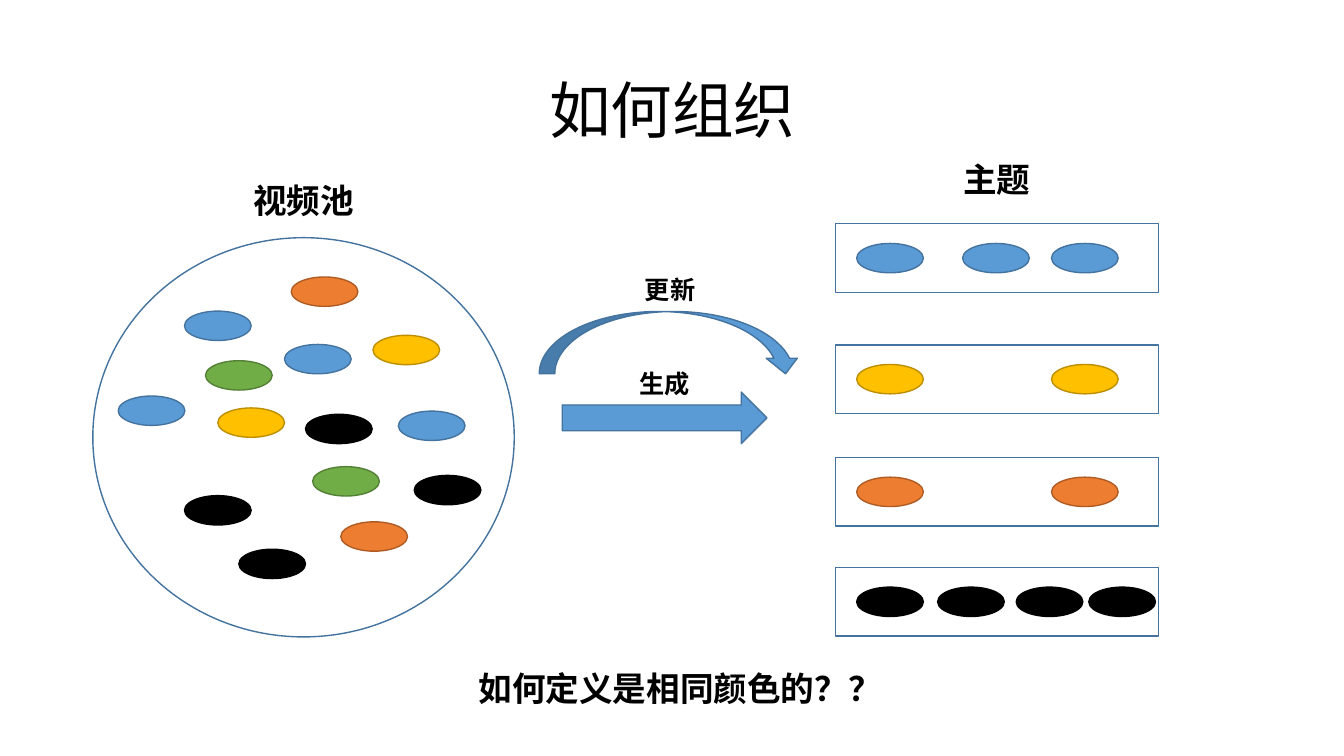
from collections import namedtuple

from pptx import Presentation
from pptx.dml.color import RGBColor
from pptx.enum.shapes import MSO_SHAPE as Preset
from pptx.enum.text import MSO_ANCHOR as Anchor, PP_ALIGN as Align
from pptx.util import Cm, Pt

Box = namedtuple("Box", "left top width height")

FILLS = {"blue": "5B9BD5", "yellow": "FFC000", "green": "70AD47",
         "orange": "ED7D31", "black": "000000"}
LINES = {"blue": "43739E", "yellow": "BD8E00", "green": "538035",
         "orange": "AF5C24", "black": "000000"}
FONT = "Calibri"
VIDEO_WIDTH, VIDEO_HEIGHT = 1.68, 0.74

POOL_VIDEOS = {
    "blue": [(2.31, 1.85), (4.83, 2.69), (0.64, 3.99), (7.7, 4.37)],
    "yellow": [(3.15, 4.29), (7.06, 2.46)],
    "green": [(5.54, 5.77), (2.84, 3.1)],
    "orange": [(6.25, 7.16), (5, 0.99)],
    "black": [(2.31, 6.5), (3.68, 7.85), (5.36, 4.45), (8.1, 5.99)],
}
TOPICS = [
    ("blue", 0, [0.53, 3.2, 5.44]),
    ("yellow", 3.05, [0.53, 5.44]),
    ("orange", 5.89, [0.53, 5.44]),
    ("black", 8.66, [0.53, 2.57, 4.55, 6.38]),
]


def lengths(box):
    """Turn a box in centimetres into slide lengths."""
    return [Cm(length) for length in box]


def style_text(paragraph, size, bold):
    """Set the font of one centred paragraph."""
    paragraph.alignment = Align.CENTER
    font = paragraph.font
    font.name, font.size, font.bold = FONT, Pt(size), bold
    font.color.rgb = RGBColor.from_string(FILLS["black"])


def add_figure(slide, preset, box, color, filled=True):
    """Add an outlined preset shape."""
    figure = slide.shapes.add_shape(preset, *lengths(box))
    figure.shadow.inherit = False
    if filled:
        figure.fill.solid()
        figure.fill.fore_color.rgb = RGBColor.from_string(FILLS[color])
    else:
        figure.fill.background()
    figure.line.color.rgb = RGBColor.from_string(LINES[color])
    figure.line.width = Pt(1)


def add_video(slide, left, top, color):
    """Add one video as a small ellipse."""
    add_figure(slide, Preset.OVAL, Box(left, top, VIDEO_WIDTH, VIDEO_HEIGHT), color)


def add_label(slide, box, text, size):
    """Add a bold centred label in its box."""
    frame = slide.shapes.add_textbox(*lengths(box)).text_frame
    frame.word_wrap = True
    frame.text = text
    style_text(frame.paragraphs[0], size, True)


def add_heading(slide, box, text, size, gap):
    """Add a label over the box, the gap above its top."""
    height = 1.27 if size == 24 else 1.02
    add_label(slide, Box(box.left, box.top - gap - height, box.width, height), text, size)


def add_title(slide, box):
    """Place and format the title."""
    title = slide.shapes.title
    title.left, title.top, title.width, title.height = lengths(box)
    title.text_frame.text = "如何组织"
    title.text_frame.vertical_anchor = Anchor.MIDDLE
    paragraph = title.text_frame.paragraphs[0]
    paragraph.line_spacing = 0.9
    style_text(paragraph, 44, False)


def add_pool(slide, box):
    """Add the circle of mixed videos."""
    add_heading(slide, box, "视频池", 24, 0.3)
    add_figure(slide, Preset.OVAL, box, "blue", filled=False)
    for color, places in POOL_VIDEOS.items():
        for left, top in places:
            add_video(slide, box.left + left, box.top + top, color)


def add_steps(slide, box):
    """Add the update and generate arrows."""
    update = Box(box.left, box.top, box.width, 1.57)
    generate = Box(box.left + 0.58, box.top + 2.03, 5.16, 1.3)
    add_figure(slide, Preset.CURVED_DOWN_ARROW, update, "blue")
    add_figure(slide, Preset.RIGHT_ARROW, generate, "blue")
    add_heading(slide, update, "更新", 18, 0.05)
    add_heading(slide, generate, "生成", 18, -0.3)


def add_topics(slide, box):
    """Add one row of same-coloured videos for each topic."""
    add_heading(slide, box, "主题", 24, 0.48)
    row_height = 1.73
    for color, offset, places in TOPICS:
        row = Box(box.left, box.top + offset, box.width, row_height)
        add_figure(slide, Preset.RECTANGLE, row, "blue", filled=False)
        for left in places:
            add_video(slide, row.left + left,
                      row.top + (row_height - VIDEO_HEIGHT) / 2, color)


def main():
    """Build the slide and save it."""
    deck = Presentation()
    deck.slide_width, deck.slide_height = Cm(33.87), Cm(19.05)
    slide = deck.slides.add_slide(deck.slide_layouts[5])
    add_title(slide, Box(2.34, 1.02, 29.21, 3.68))
    add_pool(slide, Box(2.34, 5.99, 10.62, 10.06))
    add_steps(slide, Box(13.59, 7.85, 6.6, 3.33))
    add_topics(slide, Box(21.06, 5.64, 8.13, 10.39))
    add_label(slide, Box(11.73, 16.71, 10.82, 1.27), "如何定义是相同颜色的？？", 24)
    deck.save("out.pptx")


if __name__ == "__main__":
    main()
